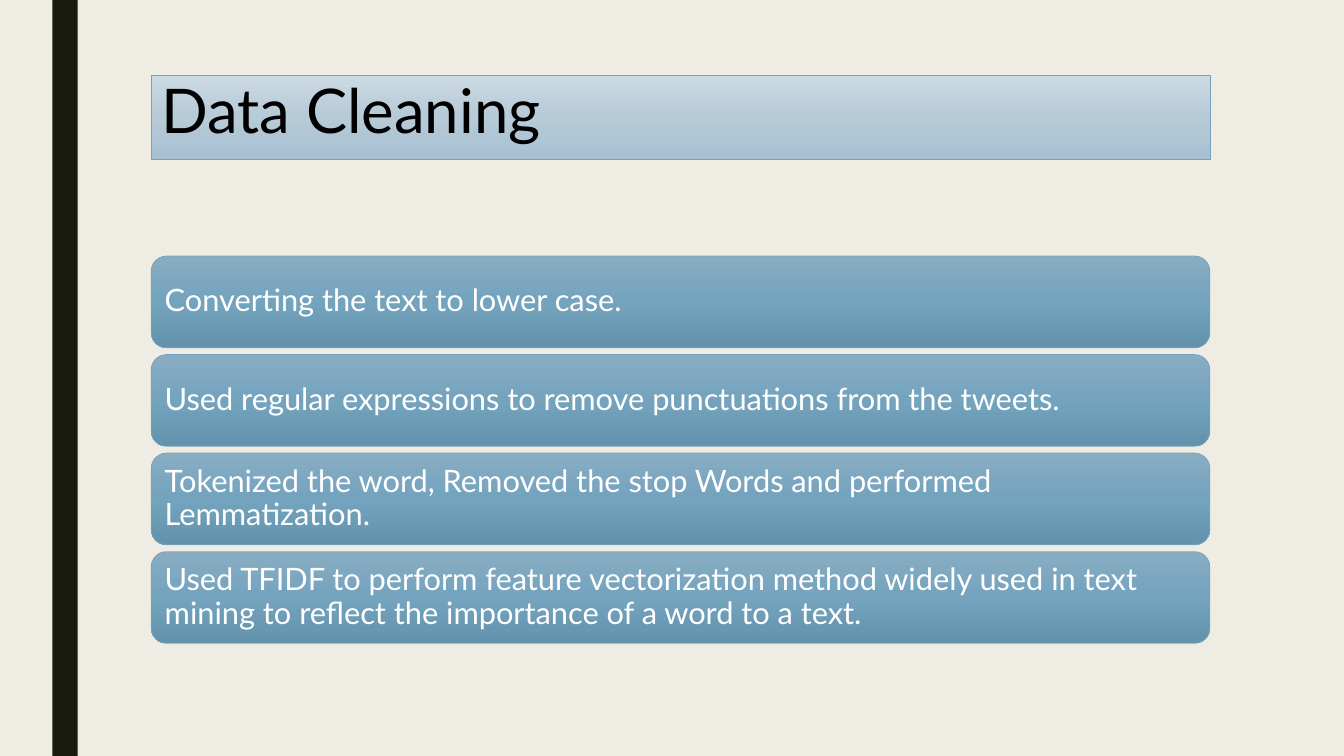
import copy

from pptx import Presentation
from pptx import util as u
from pptx.dml import color
from pptx.enum import shapes, text

CELL = 0.25
LEFT, WIDTH = 6, 42
CARDS_TOP, CARD_HEIGHT, CARD_STEP = 10.16, 3.64, 3.91
STEPS = [
    "Converting the text to lower case.",
    "Used regular expressions to remove punctuations from the tweets.",
    "Tokenized the word, Removed the stop Words and performed Lemmatization.",
    "Used TFIDF to perform feature vectorization method widely used in text "
    "mining to reflect the importance of a word to a text.",
]


def rgb(value):
    return color.RGBColor.from_string(value)


def cells(count):
    return u.Inches(count * CELL)


class Board:
    """Draws styled elements on one slide, placed in grid cells."""

    font = "Lato"
    edge = "77A2BB"
    pale = ("CCDAE3", "B6CAD7", "A7C1D2")
    deep = ("88ADC3", "74A3BE", "6392AD")

    def __init__(self, slide, background):
        self.slide = slide
        slide.background.fill.solid()
        slide.background.fill.fore_color.rgb = rgb(background)

    def add(self, kind, left, top, width, height):
        shape = self.slide.shapes.add_shape(kind, *map(cells, (left, top, width, height)))
        shape.shadow.inherit = False
        return shape

    def shade(self, shape, hues):
        shape.fill.gradient()
        shape.fill.gradient_angle = 270
        stops = shape.fill._fill._gradFill.gsLst
        stops.append(copy.deepcopy(stops[0]))
        for index, (stop, hue) in enumerate(zip(shape.fill.gradient_stops, hues)):
            stop.position = index / 2
            stop.color.rgb = rgb(hue)
        shape.line.color.rgb = rgb(self.edge)
        shape.line.width = u.Pt(0.5)

    def label(self, shape, words, size, hue, anchor, spacing):
        frame = shape.text_frame
        frame.word_wrap = True
        frame.auto_size = text.MSO_AUTO_SIZE.NONE
        frame.vertical_anchor = anchor
        paragraph = frame.paragraphs[0]
        paragraph.alignment = text.PP_ALIGN.LEFT
        paragraph.line_spacing = spacing
        run = paragraph.add_run()
        run.text = words
        run.font.name = self.font
        run.font.size = u.Pt(size)
        run.font.color.rgb = rgb(hue)

    def stripe(self, left, width, height, hue):
        band = self.add(shapes.MSO_SHAPE.RECTANGLE, left, 0, width, height)
        band.fill.solid()
        band.fill.fore_color.rgb = rgb(hue)
        band.line.fill.background()

    def title(self, words, top, height):
        heading = self.slide.shapes.title
        heading.left, heading.top = cells(LEFT), cells(top)
        heading.width, heading.height = cells(WIDTH), cells(height)
        self.shade(heading, self.pale)
        self.label(heading, words, 44, "000000", text.MSO_ANCHOR.TOP, 0.89)

    def card(self, words, top):
        card = self.add(shapes.MSO_SHAPE.ROUNDED_RECTANGLE, LEFT, top, WIDTH, CARD_HEIGHT)
        self.shade(card, self.deep)
        frame = card.text_frame
        frame.margin_left = frame.margin_right = u.Inches(0.09)
        frame.margin_top = frame.margin_bottom = u.Inches(0.09)
        self.label(card, words, 22, "FFFFFF", text.MSO_ANCHOR.MIDDLE, 0.9)


deck = Presentation()
deck.slide_width, deck.slide_height = u.Inches(13.33), u.Inches(7.5)
title_only = deck.slide_layouts[5]
board = Board(deck.slides.add_slide(title_only), "EFEDE3")
board.stripe(2.08, 1, 30, "191B0E")
board.title("Data Cleaning", 3, 3.32)
for row, step in enumerate(STEPS):
    board.card(step, CARDS_TOP + row * CARD_STEP)
deck.save("out.pptx")
